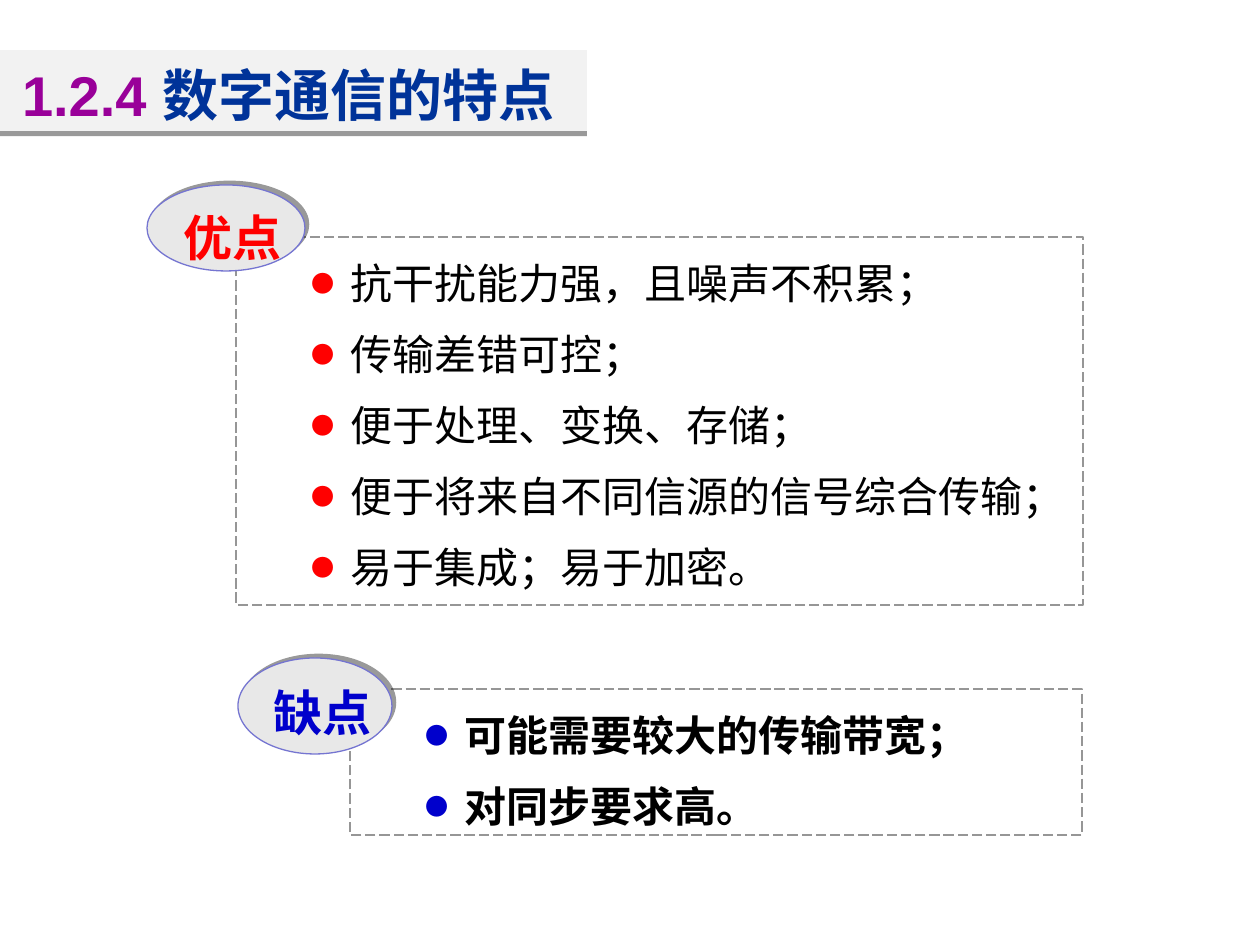
from dataclasses import dataclass

from lxml import etree
from pptx import Presentation
from pptx.dml.color import RGBColor
from pptx.enum.dml import MSO_LINE
from pptx.enum.shapes import MSO_SHAPE
from pptx.enum.text import MSO_ANCHOR, MSO_AUTO_SIZE, PP_ALIGN
from pptx.oxml.ns import qn
from pptx.util import Emu, Pt

RECT = MSO_SHAPE.RECTANGLE
OVAL = MSO_SHAPE.OVAL
DASH = MSO_LINE.LONG_DASH
TOP = MSO_ANCHOR.TOP
FIXED = MSO_AUTO_SIZE.NONE
LEFT = PP_ALIGN.LEFT
DPI = 126


@dataclass(frozen=True)
class Theme:
    cjk: str = "Noto Sans CJK SC"
    latin: str = "Arial"
    ink: str = "000000"
    number: str = "990099"
    title: str = "003399"
    band: str = "F2F2F2"
    badge: str = "E8E8E8"
    rim: str = "7575D1"
    frame: str = "969696"
    good: str = "FF0000"
    bad: str = "0000CC"
    head: int = 32
    label: int = 28
    body: int = 24


@dataclass(frozen=True)
class Box:
    x: int
    y: int
    w: int
    h: int


@dataclass(frozen=True)
class Group:
    label: str
    color: str
    badge: Box
    frame: Box
    items: tuple[str, ...]
    bold: bool


THEME = Theme()
GROUPS = (
    Group("优点", THEME.good, Box(147, 185, 158, 86), Box(236, 237, 847, 368), (
        "抗干扰能力强，且噪声不积累；",
        "传输差错可控；",
        "便于处理、变换、存储；",
        "便于将来自不同信源的信号综合传输；",
        "易于集成；易于加密。",
    ), False),
    Group("缺点", THEME.bad, Box(238, 658, 154, 96), Box(350, 689, 732, 146), (
        "可能需要较大的传输带宽；",
        "对同步要求高。",
    ), True),
)


def px(n: int) -> Emu:
    return Emu(round(n * 914400 / DPI))


def rgb(color: str) -> RGBColor:
    return RGBColor.from_string(color)


def child(node, tag: str, **attrs: str):
    return etree.SubElement(node, qn(tag), attrs)


def write(para, text: str, *, size: int, color: str, bold: bool = False,
          font: str = THEME.cjk) -> None:
    run = para.add_run()
    run.text = text
    run.font.size = Pt(size)
    run.font.bold = bold
    run.font.color.rgb = rgb(color)
    run.font.name = font
    child(run.font._element, "a:ea", typeface=font)


def space(para, line: float, before: int = 0) -> None:
    para.alignment = LEFT
    para.line_spacing = Pt(line)
    para.space_before = Pt(before)


def bullet(para, color: str) -> None:
    props = para._p.get_or_add_pPr()
    props.set("marL", str(px(102)))
    props.set("indent", str(-px(39)))
    child(child(props, "a:buClr"), "a:srgbClr", val=color)
    child(props, "a:buSzPct", val="55000")
    child(props, "a:buFont", typeface=THEME.cjk)
    child(props, "a:buChar", char="●")


def shade(shape, angle: int) -> None:
    shape.shadow.inherit = False
    effect = shape._element.spPr.find(qn("a:effectLst"))
    outer = child(effect, "a:outerShdw", blurRad="0", dist=str(Pt(3)),
                  dir=str(angle * 60000), algn="ctr", rotWithShape="0")
    tone = child(outer, "a:srgbClr", val=THEME.ink)
    child(tone, "a:alpha", val="40000")


def place(shape, box: Box) -> None:
    shape.left, shape.top = px(box.x), px(box.y)
    shape.width, shape.height = px(box.w), px(box.h)


def setup(shape, *, wrap: bool = True, left: int = 13, top: int = 6,
          right: int = 13):
    frame = shape.text_frame
    frame.auto_size = FIXED
    frame.word_wrap = wrap
    frame.vertical_anchor = TOP
    frame.margin_left, frame.margin_right = px(left), px(right)
    frame.margin_top, frame.margin_bottom = px(top), px(6)
    return frame


def draw(slide, kind, box: Box, line: str):
    shape = slide.shapes.add_shape(
        kind, px(box.x), px(box.y), px(box.w), px(box.h))
    shape.shadow.inherit = False
    shape.line.color.rgb = rgb(line)
    shape.line.width = Pt(0.75)
    return shape


def panel(slide, group: Group) -> None:
    shape = draw(slide, RECT, group.frame, THEME.frame)
    shape.fill.background()
    shape.line.dash_style = DASH
    frame = setup(shape, top=10)
    for i, item in enumerate(group.items):
        para = frame.add_paragraph() if i else frame.paragraphs[0]
        space(para, 34.6, 6 if i else 0)
        bullet(para, group.color)
        write(para, item, size=THEME.body, color=THEME.ink, bold=group.bold)


def badge(slide, group: Group) -> None:
    shape = draw(slide, OVAL, group.badge, THEME.rim)
    shape.fill.solid()
    shape.fill.fore_color.rgb = rgb(THEME.badge)
    shade(shape, 315)
    para = setup(shape, wrap=False).paragraphs[0]
    space(para, 36)
    write(para, group.label, size=THEME.label, color=group.color, bold=True)


def header(slide) -> None:
    shape = slide.shapes.title
    place(shape, Box(-1, 50, 588, 81))
    shape.fill.solid()
    shape.fill.fore_color.rgb = rgb(THEME.band)
    shade(shape, 90)
    para = setup(shape, left=23, right=0).paragraphs[0]
    space(para, 41)
    write(para, "1.2.4 ", size=THEME.head, color=THEME.number, bold=True,
          font=THEME.latin)
    write(para, "数字通信的特点", size=THEME.head, color=THEME.title, bold=True)


def main() -> None:
    deck = Presentation()
    deck.slide_width, deck.slide_height = px(1260), px(945)
    slide = deck.slides.add_slide(deck.slide_layouts[5])
    header(slide)
    for group in GROUPS:
        panel(slide, group)
        badge(slide, group)
    deck.save("out.pptx")


if __name__ == "__main__":
    main()
